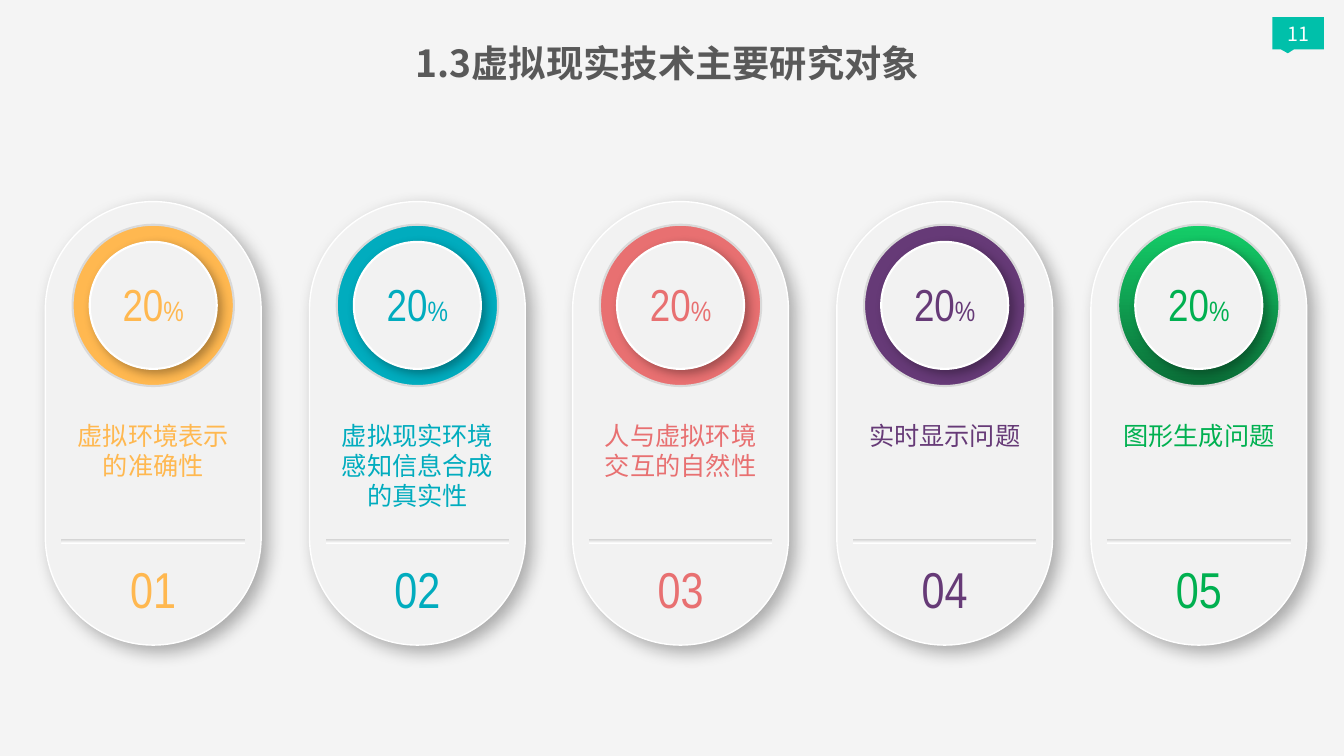
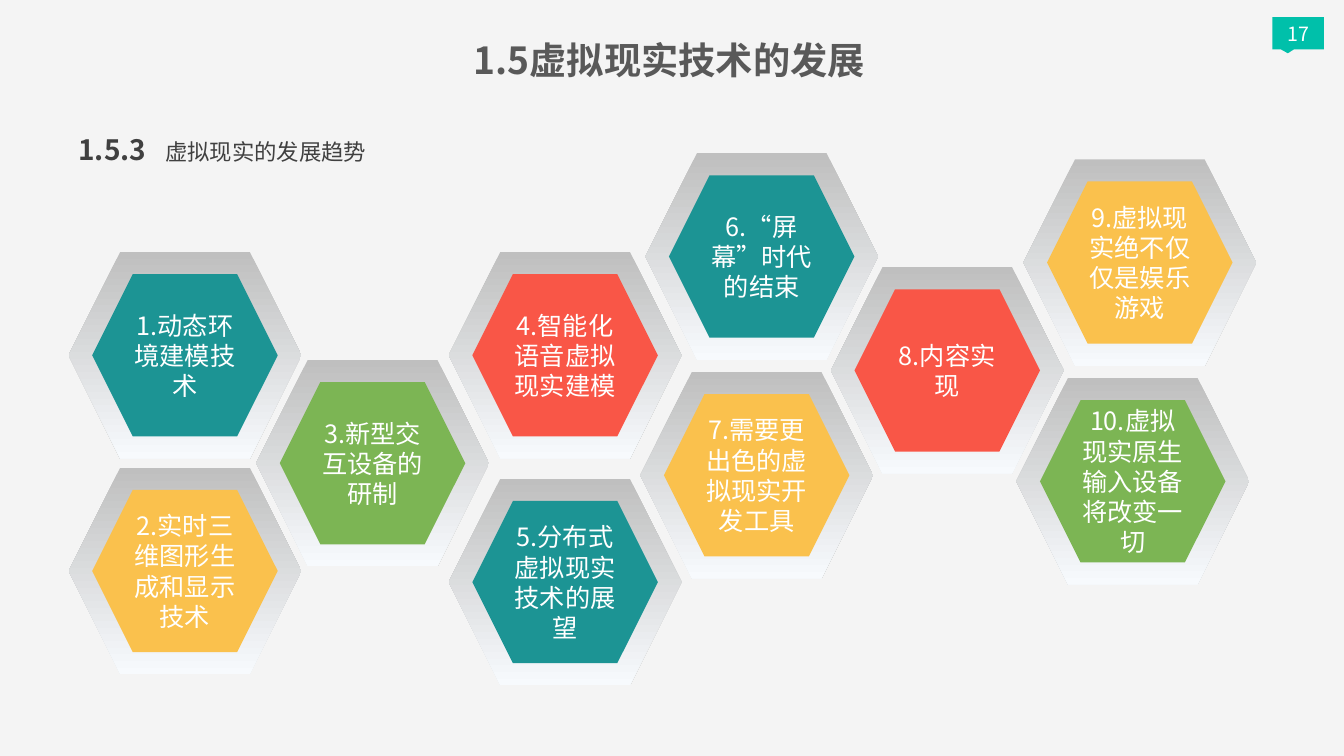
from lxml import etree
from pptx import Presentation
from pptx.dml.color import RGBColor
from pptx.enum.shapes import MSO_SHAPE
from pptx.enum.text import MSO_ANCHOR, MSO_AUTO_SIZE, PP_ALIGN
from pptx.oxml.ns import qn
from pptx.util import Inches, Pt

CARD, OVAL, RECT = MSO_SHAPE.ROUNDED_RECTANGLE, MSO_SHAPE.OVAL, MSO_SHAPE.RECTANGLE
HEX, TAG = MSO_SHAPE.HEXAGON, MSO_SHAPE.RECTANGULAR_CALLOUT
TOP, MIDDLE = MSO_ANCHOR.TOP, MSO_ANCHOR.MIDDLE
LEFT, CENTER = PP_ALIGN.LEFT, PP_ALIGN.CENTER

SANS, NARROW = "Noto Sans CJK SC", "Arial Narrow"
color = RGBColor.from_string
WHITE, PAPER, PANEL = color("FFFFFF"), color("F4F4F4"), color("F2F2F2")
EDGE, GROOVE, STEEL, ICE = color("D9D9D9"), color("D3D3D3"), color("BFBFBF"), color("F7FAFD")
INK, TITLE, MINT = color("404040"), color("595959"), color("00C0AA")
ORANGE, CYAN, ROSE = color("FFB850"), color("01ACBE"), color("E87071")
PURPLE, LEAF = color("663A77"), color("00B050")
LIME, PINE = color("14CD68"), color("0B6E38")
TEAL, GREEN, GOLD, RED = color("1C9494"), color("7CB554"), color("FAC14D"), color("F95647")

# left, caption, text colour, ring fill
CARDS = [
    (0.45, "虚拟环境表示的准确性", ORANGE, ORANGE),
    (3.07, "虚拟现实环境感知信息合成的真实性", CYAN, CYAN),
    (5.68, "人与虚拟环境交互的自然性", ROSE, ROSE),
    (8.3, "实时显示问题", PURPLE, PURPLE),
    (10.82, "图形生成问题", LEAF, (LIME, PINE)),
]
CARD_W, CARD_H, CARD_Y = 2.14, 4.4, 2

# left, top, label, colour
TRENDS = [
    (0.68, 2.5, "动态环境建模技术", TEAL),
    (0.68, 4.64, "实时三维图形生成和显示技术", GOLD),
    (2.54, 3.57, "新型交互设备的研制", GREEN),
    (4.45, 2.5, "智能化语音虚拟现实建模", RED),
    (4.45, 4.75, "分布式虚拟现实技术的展望", TEAL),
    (6.4, 1.52, "“屏幕”时代的结束", TEAL),
    (6.35, 3.69, "需要更出色的虚拟现实开发工具", GOLD),
    (8.24, 2.65, "内容实现", RED),
    (10.15, 1.58, "虚拟现实绝不仅仅是娱乐游戏", GOLD),
    (10.08, 3.75, "虚拟现实原生输入设备将改变一切", GREEN),
]
HEX_W, HEX_H, CORE_W, CORE_H = 2.31, 2.05, 1.84, 1.61


def write(shape, *runs, size=18, ink=WHITE, font=SANS, bold=False,
          align=CENTER, anchor=TOP, wrap=True, space=None, tab=None):
    """Fill a shape with one paragraph; a run is text or (text, format)."""
    frame = shape.text_frame
    frame.word_wrap, frame.vertical_anchor = wrap, anchor
    frame.auto_size = MSO_AUTO_SIZE.NONE
    para = frame.paragraphs[0]
    para.alignment = align
    if space:
        para.line_spacing = space
    if tab:
        stops = etree.SubElement(para._p.get_or_add_pPr(), qn("a:tabLst"))
        etree.SubElement(stops, qn("a:tab"), pos=str(Inches(tab)), algn="l")
    for item in runs:
        text, form = (item, {}) if isinstance(item, str) else item
        run = para.add_run()
        run.text = text
        run.font.size = Pt(form.get("size", size))
        run.font.bold = form.get("bold", bold)
        run.font.color.rgb = ink
        run.font.name = font
        etree.SubElement(run._r.get_or_add_rPr(), qn("a:ea"), typeface=font)


def label(slide, x, y, w, h, *runs, **form):
    box = slide.shapes.add_textbox(Inches(x), Inches(y), Inches(w), Inches(h))
    write(box, *runs, **form)


def draw(slide, kind, x, y, w, h, fill, edge=None, weight=1, shade=None):
    """Add a shape; fill is a colour or a (top, bottom) pair, shade is (blur, distance)."""
    shape = slide.shapes.add_shape(kind, Inches(x), Inches(y), Inches(w), Inches(h))
    shape.shadow.inherit = False
    if isinstance(fill, RGBColor):
        shape.fill.solid()
        shape.fill.fore_color.rgb = fill
    else:
        shape.fill.gradient()
        shape.fill.gradient_angle = 270
        for stop, tone in zip(shape.fill.gradient_stops, fill):
            stop.color.rgb = tone
    if edge is None:
        shape.line.fill.background()
    else:
        shape.line.color.rgb = edge
        shape.line.width = Pt(weight)
    if shade:
        blur, dist = shade
        effects = shape._element.spPr.find(qn("a:effectLst"))
        outer = etree.SubElement(effects, qn("a:outerShdw"), blurRad=str(Pt(blur)),
                                 dist=str(Pt(dist)), dir="2700000", algn="tl",
                                 rotWithShape="0")
        tone = etree.SubElement(outer, qn("a:srgbClr"), val="000000")
        etree.SubElement(tone, qn("a:alpha"), val="30000")
    return shape


def start(deck, title, number, x, y, w):
    """Add a slide with its title and page tag."""
    slide = deck.slides.add_slide(deck.slide_layouts[5])
    head = slide.shapes.title
    head.left, head.top, head.width, head.height = map(Inches, (x, y, w, 0.45))
    frame = head.text_frame
    frame.margin_left = frame.margin_right = frame.margin_top = frame.margin_bottom = 0
    write(head, title, size=26.6, ink=TITLE, bold=True, wrap=False)
    tag = draw(slide, TAG, 12.62, 0.17, 0.51, 0.32, MINT)
    tag.adjustments[0], tag.adjustments[1] = -0.2, 0.62
    write(tag, number, size=14, anchor=MIDDLE, wrap=False)
    return slide


def card(slide, index, x, text, ink, ring):
    def inset(w):
        return x + (CARD_W - w) / 2

    panel = draw(slide, CARD, x, CARD_Y, CARD_W, CARD_H, PANEL, WHITE, 1, (12, 6))
    panel.adjustments[0] = 0.5
    draw(slide, OVAL, inset(1.6), 2.23, 1.6, 1.6, ring, EDGE, 1.5)
    draw(slide, OVAL, inset(1.26), 2.4, 1.26, 1.26, PANEL, WHITE, 1.5, (7, 4))
    draw(slide, RECT, inset(1.82), 5.35, 1.82, 0.04, (GROOVE, WHITE))
    label(slide, inset(1.13), 5.49, 1.13, 0.71, f"{index:02}", size=36, ink=ink, font=NARROW)
    label(slide, inset(1.75), 4.12, 1.75, 1.01, text, ink=ink)
    label(slide, inset(1.13), 2.7, 1.13, 0.64, "20", ("%", {"size": 20}),
          size=32, ink=ink, font=NARROW)


def trend(slide, index, x, y, text, fill):
    draw(slide, HEX, x, y, HEX_W, HEX_H, (STEEL, ICE))
    core = draw(slide, HEX, x + (HEX_W - CORE_W) / 2, y + (HEX_H - CORE_H) / 2,
                CORE_W, CORE_H, fill)
    write(core, f"{index}.{text}", anchor=MIDDLE)


def main():
    deck = Presentation()
    deck.slide_width, deck.slide_height = Inches(13.33), Inches(7.5)
    back = deck.slide_master.background.fill
    back.solid()
    back.fore_color.rgb = PAPER

    topics = start(deck, "1.3虚拟现实技术主要研究对象", "11", 4.05, 0.4, 5.14)
    for index, item in enumerate(CARDS, 1):
        card(topics, index, *item)

    future = start(deck, "1.5虚拟现实技术的发展", "17", 4.45, 0.37, 4.38)
    label(future, 0.68, 1.17, 4.07, 0.54, "1.5.3\t",
          ("虚拟现实的发展趋势", {"size": 16, "bold": False}),
          size=20, ink=INK, bold=True, align=LEFT, space=1.3, tab=0.86)
    for index, item in enumerate(TRENDS, 1):
        trend(future, index, *item)

    deck.save("out.pptx")


if __name__ == "__main__":
    main()
